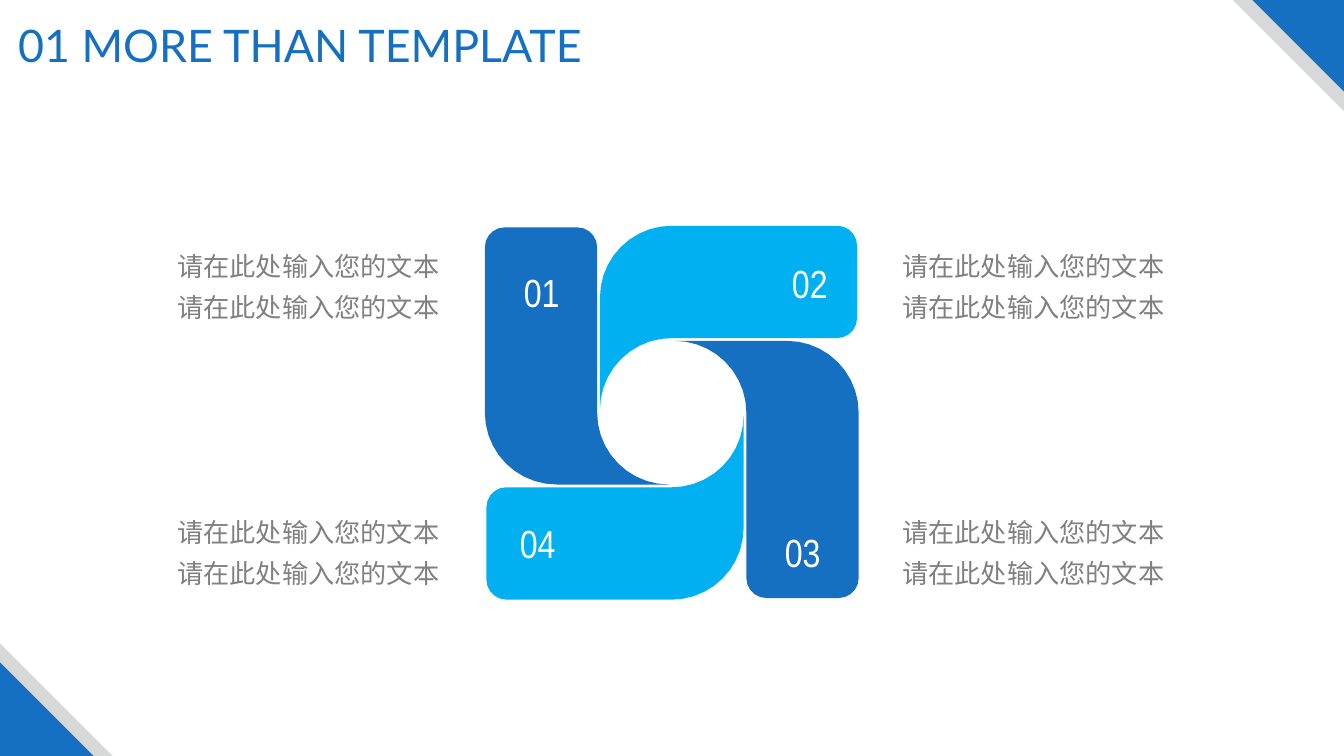
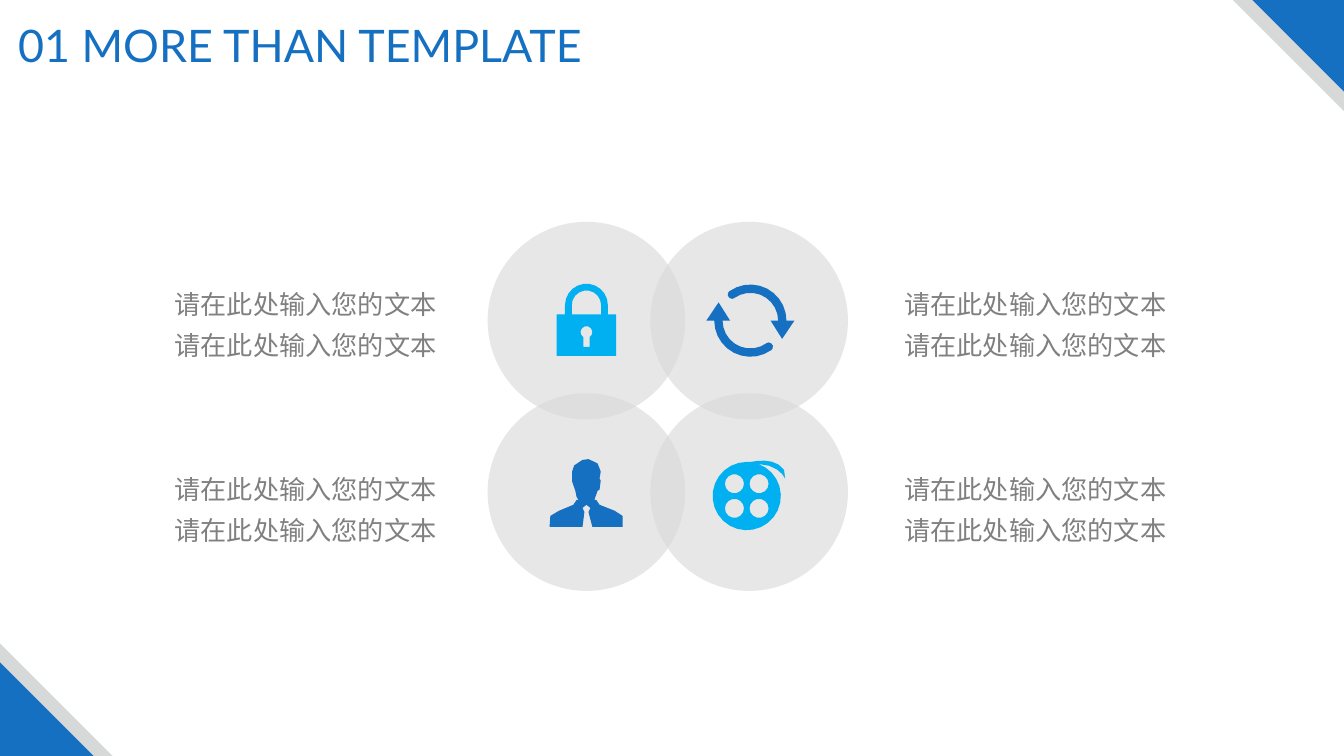
from dataclasses import dataclass
from itertools import product
from math import ceil, cos, radians, sin, sqrt

from lxml.etree import SubElement
from pptx import Presentation
from pptx.dml.color import RGBColor
from pptx.enum.shapes import MSO_SHAPE
from pptx.enum.text import MSO_AUTO_SIZE, PP_ALIGN
from pptx.oxml.ns import qn
from pptx.shapes.autoshape import Shape
from pptx.slide import Slide
from pptx.util import Cm, Pt

COLORS = {
    "blue": "1570C1",
    "cyan": "00B0F0",
    "band": "D7D8D8",
    "disc": "D9D9D9",
    "caption": "808080",
    "white": "FFFFFF",
}
SLIDE_WIDTH, SLIDE_HEIGHT = 33.87, 19.05
TITLE = "01 MORE THAN TEMPLATE"
CAPTION = ["请在此处输入您的文本"] * 2

Point = tuple[float, float]
Contour = list[Point]


@dataclass(frozen=True)
class TextStyle:
    font: str
    size: float
    color: str
    align: PP_ALIGN = PP_ALIGN.LEFT
    spacing: float | None = None
    wrap: bool = True


@dataclass(frozen=True)
class Corner:
    size: float
    color: str
    at_top: bool


@dataclass(frozen=True)
class Arm:
    number: str
    color: str
    label_left: float
    label_top: float


@dataclass(frozen=True)
class Icon:
    contours: list[Contour]
    color: str
    center: Point


TITLE_STYLE = TextStyle("Lato", 32, "blue", PP_ALIGN.CENTER)
NUMBER_STYLE = TextStyle("Arial Narrow", 28, "white", wrap=False)
CAPTION_STYLE = TextStyle("Noto Sans CJK SC", 18.7, "caption", PP_ALIGN.CENTER, 1.3)

CORNERS = [
    Corner(2.8, "band", True),
    Corner(2.31, "blue", True),
    Corner(2.84, "band", False),
    Corner(2.36, "blue", False),
]


def arc(x: float, y: float, radius: float, start: float, end: float) -> Contour:
    steps = ceil(radians(abs(end - start)) / sqrt(0.05 / radius))
    angles = [radians(start + (end - start) * i / steps) for i in range(steps + 1)]
    return [(x + radius * cos(a), y + radius * sin(a)) for a in angles]


def bezier(*controls: Point, steps: int = 5) -> Contour:
    def at(t: float) -> Point:
        weights = ((1 - t) ** 3, 3 * t * (1 - t) ** 2, 3 * t * t * (1 - t), t ** 3)
        x, y = (sum(w * c for w, c in zip(weights, axis)) for axis in zip(*controls))
        return x, y

    return [at(i / steps) for i in range(steps + 1)]


def turned(contour: Contour, quarters: int) -> Contour:
    for _ in range(quarters):
        contour = [(-y, x) for x, y in contour]
    return contour


ARM_OUTLINE = [
    *arc(0, -2.9, 1.81, 180, 270),
    *arc(4.17, -4.21, 0.5, -90, 0),
    *arc(4.17, -2.38, 0.5, 0, 90),
    *arc(0, -0.07, 1.81, 270, 180),
]
ARMS = [
    Arm("02", "cyan", 19.71, 6.4),
    Arm("03", "blue", 19.53, 13.18),
    Arm("04", "cyan", 12.85, 12.95),
    Arm("01", "blue", 12.95, 6.63),
]
PINWHEEL_CENTER = (16.93, 10.4)

DISC_SIZE = 4.98
DISC_COLUMNS = (14.78, 18.88)
DISC_ROWS = (8.08, 12.4)

LOCK = [
    [(-0.75, 0.89), (-0.75, -0.16), (-0.54, -0.16), *arc(0, -0.39, 0.54, 180, 360),
     (0.54, -0.16), (0.75, -0.16), (0.75, 0.89)],
    [(-0.37, -0.16), *arc(0, -0.39, 0.37, 180, 360), (0.37, -0.16)],
    [(-0.08, 0.66), *arc(0, 0.29, 0.15, 122, 418), (0.08, 0.66)],
]
CYCLE_ARROW = [
    *arc(0, 0, 0.91, 180, 55),
    *arc(0.46, 0.66, 0.11, 55, -125),
    *arc(0, 0, 0.7, 55, 180),
    (-0.51, 0), (-0.8, -0.46), (-1.11, 0),
]
PERSON = [
    (0.91, 0.57), (0.71, 0.44), (0.33, 0.29), (0.25, 0.17), (0.2, 0.17),
    (0.28, -0.06), (0.33, -0.09), (0.36, -0.32), (0.33, -0.37), (0.36, -0.55),
    (0.28, -0.75), (0.18, -0.8), (0.05, -0.86), (-0.1, -0.84), (-0.31, -0.7),
    (-0.36, -0.55), (-0.36, -0.29), (-0.28, -0.06), (-0.25, 0.09), (-0.2, 0.17),
    (-0.25, 0.17), (-0.33, 0.29), (-0.69, 0.44), (-0.91, 0.57), (-0.93, 0.85),
    (-0.1, 0.85), (-0.05, 0.47), (-0.1, 0.37), (0, 0.29), (0.1, 0.37),
    (0.05, 0.47), (0.15, 0.85), (0.91, 0.85),
]
FILM_REEL = [
    [*arc(0, 0, 0.86, -71, 270),
     *bezier((0.1, -0.86), (0.36, -0.91), (0.74, -0.94), (0.94, -0.66)),
     *bezier((0.97, -0.43), (0.97, -0.43), (0.84, -0.79), (0.28, -0.81))],
    *(arc(x, y, 0.24, 0, 360) for x, y in product((-0.31, 0.31), repeat=2)),
]
ICONS = [
    Icon(LOCK, "cyan", (14.78, 8.08)),
    Icon([CYCLE_ARROW], "blue", (18.91, 8.08)),
    Icon([turned(CYCLE_ARROW, 2)], "blue", (18.91, 8.08)),
    Icon([PERSON], "blue", (14.78, 12.43)),
    Icon(FILM_REEL, "cyan", (18.82, 12.5)),
]


def rgb(color: str) -> RGBColor:
    return RGBColor.from_string(COLORS[color])


def paint(shape: Shape, color: str) -> None:
    shape.shadow.inherit = False
    shape.fill.solid()
    shape.fill.fore_color.rgb = rgb(color)
    shape.line.fill.background()


def add_text(slide: Slide, lines: list[str], style: TextStyle,
             left: float, top: float, width: float, height: float) -> None:
    box = slide.shapes.add_textbox(Cm(left), Cm(top), Cm(width), Cm(height))
    frame = box.text_frame
    frame.word_wrap = style.wrap
    frame.auto_size = MSO_AUTO_SIZE.SHAPE_TO_FIT_TEXT
    frame.text = "\n".join(lines)
    for paragraph in frame.paragraphs:
        paragraph.alignment = style.align
        paragraph.line_spacing = style.spacing
        font = paragraph.font
        font.name = style.font
        font.size = Pt(style.size)
        font.color.rgb = rgb(style.color)
        SubElement(font._rPr, qn("a:ea"), typeface=style.font)


def add_outline(slide: Slide, icon: Icon) -> None:
    center_x, center_y = icon.center
    placed = [[(Cm(center_x + x), Cm(center_y + y)) for x, y in contour]
              for contour in icon.contours]
    builder = slide.shapes.build_freeform(*placed[0][0])
    builder.add_line_segments(placed[0][1:], close=True)
    for contour in placed[1:]:
        builder.move_to(*contour[0])
        builder.add_line_segments(contour[1:], close=True)
    paint(builder.convert_to_shape(), icon.color)


def add_disc(slide: Slide, x: float, y: float) -> None:
    disc = slide.shapes.add_shape(
        MSO_SHAPE.OVAL, Cm(x - DISC_SIZE / 2), Cm(y - DISC_SIZE / 2),
        Cm(DISC_SIZE), Cm(DISC_SIZE))
    paint(disc, "disc")
    tint = disc._element.spPr.find(qn("a:solidFill"))[0]
    SubElement(tint, qn("a:alpha"), val="61000")


def add_captions(slide: Slide, lefts: Point, tops: Point) -> None:
    for top, left in product(tops, lefts):
        add_text(slide, CAPTION, CAPTION_STYLE, left, top, 7.42, 2.34)


def add_base_slide(deck: Presentation) -> Slide:
    slide = deck.slides.add_slide(deck.slide_layouts[6])
    for corner in CORNERS:
        left = SLIDE_WIDTH - corner.size if corner.at_top else 0
        top = 0 if corner.at_top else SLIDE_HEIGHT - corner.size
        triangle = slide.shapes.add_shape(
            MSO_SHAPE.RIGHT_TRIANGLE, Cm(left), Cm(top),
            Cm(corner.size), Cm(corner.size))
        triangle.rotation = 180 if corner.at_top else 0
        paint(triangle, corner.color)
    add_text(slide, [TITLE], TITLE_STYLE, 0.05, 0.33, 15.04, 1.62)
    return slide


def add_pinwheel_slide(deck: Presentation) -> None:
    slide = add_base_slide(deck)
    for quarters, arm in enumerate(ARMS):
        outline = turned(ARM_OUTLINE, quarters)
        add_outline(slide, Icon([outline], arm.color, PINWHEEL_CENTER))
    for arm in ARMS:
        add_text(slide, [arm.number], NUMBER_STYLE,
                 arm.label_left, arm.label_top, 1.55, 1.45)
    add_captions(slide, (4.06, 22.33), (5.94, 12.65))


def add_icons_slide(deck: Presentation) -> None:
    slide = add_base_slide(deck)
    for y, x in product(DISC_ROWS, DISC_COLUMNS):
        add_disc(slide, x, y)
    add_captions(slide, (3.99, 22.38), (6.91, 11.56))
    for icon in ICONS:
        add_outline(slide, icon)


def main() -> None:
    deck = Presentation()
    deck.slide_width = Cm(SLIDE_WIDTH)
    deck.slide_height = Cm(SLIDE_HEIGHT)
    add_pinwheel_slide(deck)
    add_icons_slide(deck)
    deck.save("out.pptx")


if __name__ == "__main__":
    main()
